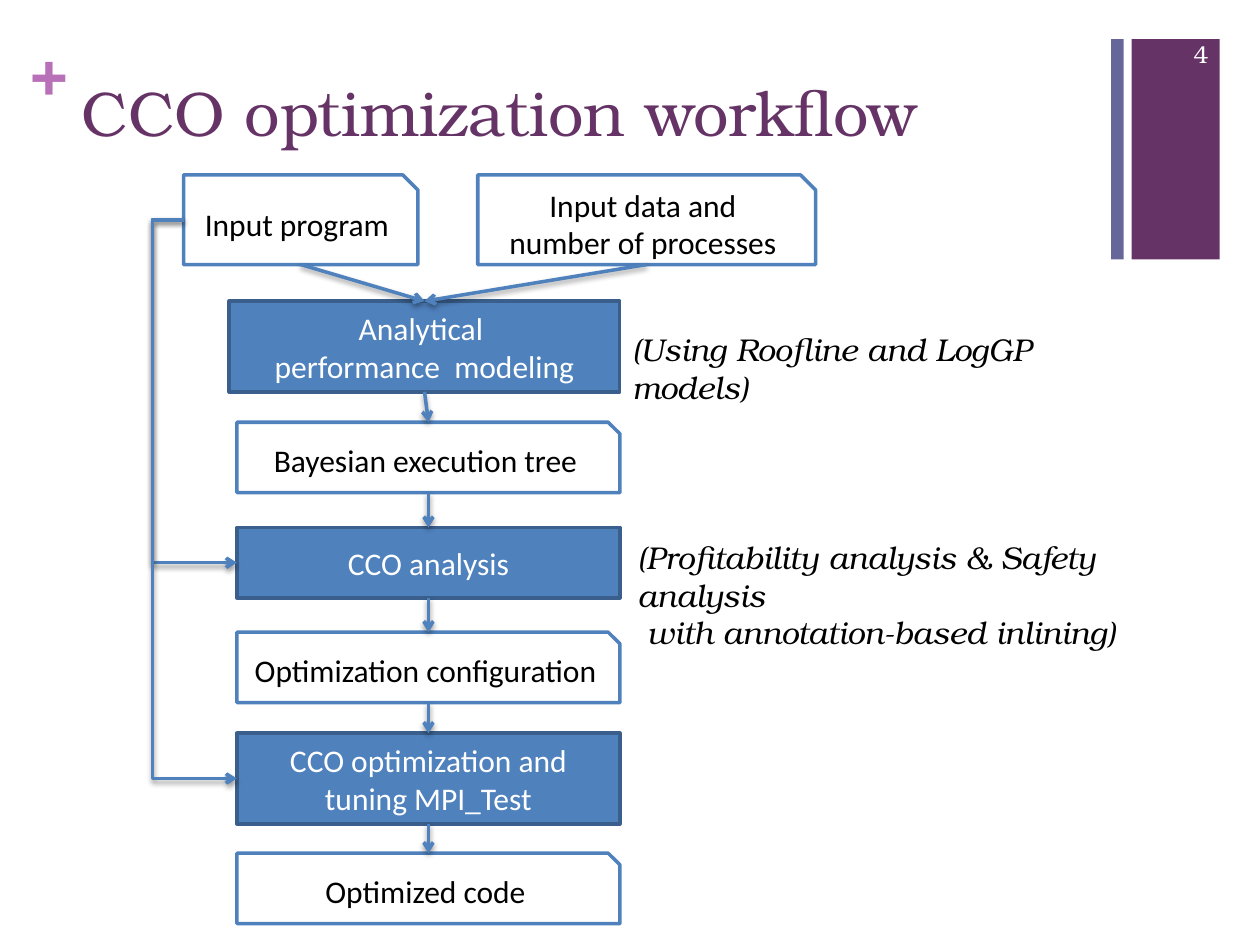
from itertools import pairwise
from lxml.etree import SubElement
from pptx import Presentation
from pptx.dml.color import RGBColor
from pptx.enum.shapes import MSO_CONNECTOR, MSO_SHAPE
from pptx.enum.text import MSO_ANCHOR, PP_ALIGN
from pptx.oxml import parse_xml
from pptx.oxml.ns import nsdecls, qn
from pptx.util import Pt

COLORS = {
    "plum": "663366", "slate": "666699", "orchid": "B870B8", "white": "FFFFFF",
    "black": "000000", "blue": "4F81BD", "edge": "3A5F8C",
}
SERIF, SANS = "TeX Gyre Bonum", "Calibri"

BANDS = [("plum", (646.6, 22.3, 50.4, 126)), ("slate", (635, 22.3, 7.2, 126))]
LABELS = [
    (["+"], (17.3, 18, 20.9, 43.9), 0, dict(size=36, color="orchid", bold=True)),
    (["CCO optimization workflow"], (39.6, 38.2, 594.7, 87.8), None,
     dict(size=36, color="plum")),
    (["4"], (653.8, 18.7, 43.9, 28.8), None,
     dict(size=14, color="white", align=PP_ALIGN.RIGHT)),
    (["(Profitability analysis & Safety analysis", " with annotation-based inlining)"],
     (357.1, 303.8, 325.4, 51.1), None, dict(size=18, color="black", italic=True)),
    (["(Using Roofline and LogGP models)"], (354.2, 185, 307.4, 28.8), None,
     dict(size=18, color="black", italic=True)),
]
INPUTS = [
    (["Input program"], (104.9, 100, 133.9, 51.2)),
    (["Input data and", "number of processes"], (273, 100, 193, 51.2)),
]
COLUMN_LEFT, COLUMN_WIDTH = 135.4, 218.9
MODELING = ("step", ["Analytical ", "performance  modeling"], (131, 172.1, 223.2, 51.8))
COLUMN = [
    ("data", ["Bayesian execution tree"], 241.3, 40.2),
    ("step", ["CCO analysis"], 301.5, 40.2),
    ("data", ["Optimization configuration"], 361.3, 40.2),
    ("step", ["CCO optimization and tuning MPI_Test"], 419, 51.8),
    ("data", ["Optimized code"], 487.6, 40.2),
]
DETOUR = -0.584


def rgb(name):
    return RGBColor.from_string(COLORS[name])


def write(frame, lines, size, color, font=SERIF, align=PP_ALIGN.LEFT, bold=False, italic=False):
    frame.word_wrap = True
    for number, line in enumerate(lines):
        paragraph = frame.add_paragraph() if number else frame.paragraphs[0]
        paragraph.alignment = align
        run = paragraph.add_run()
        run.text = line
        run.font.name, run.font.size = font, Pt(size)
        run.font.bold, run.font.italic = bold, italic
        run.font.color.rgb = rgb(color)


def add_block(slide, preset, place, fill=None, line=None):
    block = slide.shapes.add_shape(preset, *map(Pt, place))
    block.shadow.inherit = False
    if fill:
        block.fill.solid()
        block.fill.fore_color.rgb = rgb(fill)
    else:
        block.fill.background()
    if line:
        block.line.color.rgb = rgb(line)
        block.line.width = Pt(2)
    else:
        block.line.fill.background()
    return block


def add_node(slide, kind, lines, place):
    step = kind == "step"
    preset = MSO_SHAPE.RECTANGLE if step else MSO_SHAPE.SNIP_1_RECTANGLE
    node = add_block(slide, preset, place, "blue" if step else None, "edge" if step else "blue")
    node.text_frame.vertical_anchor = MSO_ANCHOR.MIDDLE
    write(node.text_frame, lines, 18, "white" if step else "black", SANS, PP_ALIGN.CENTER)


def add_arrow(slide, start, end, bend=None):
    route = MSO_CONNECTOR.STRAIGHT if bend is None else MSO_CONNECTOR.ELBOW
    arrow = slide.shapes.add_connector(route, *map(Pt, start + end))
    arrow.line.color.rgb = rgb("blue")
    arrow.line.width = Pt(2)
    SubElement(arrow.line._get_or_add_ln(), qn("a:tailEnd"), type="arrow")
    properties = arrow._element.spPr
    if bend is not None:
        guides = properties.find(qn("a:prstGeom")).get_or_add_avLst()
        SubElement(guides, qn("a:gd"), name="adj1", fmla=f"val {round(bend * 100000)}")
    properties.append(parse_xml(
        f'<a:effectLst {nsdecls("a")}><a:outerShdw blurRad="{Pt(3.1)}" dist="{Pt(1.6)}" '
        f'dir="5400000" rotWithShape="0"><a:srgbClr val="{COLORS["black"]}">'
        '<a:alpha val="38000"/></a:srgbClr></a:outerShdw></a:effectLst>'))


def top(place):
    return place[0] + place[2] / 2, place[1]


def bottom(place):
    return place[0] + place[2] / 2, place[1] + place[3]


def left(place):
    return place[0], place[1] + place[3] / 2


def main():
    deck = Presentation()
    deck.slide_width, deck.slide_height = Pt(720), Pt(540)
    slide = deck.slides.add_slide(deck.slide_layouts[6])

    for color, place in BANDS:
        add_block(slide, MSO_SHAPE.RECTANGLE, place, color)
    for lines, place, margin, style in LABELS:
        frame = slide.shapes.add_textbox(*map(Pt, place)).text_frame
        if margin is not None:
            frame.margin_left = frame.margin_right = Pt(margin)
            frame.margin_top = frame.margin_bottom = Pt(margin)
        write(frame, lines, **style)

    inputs = [("data", lines, place) for lines, place in INPUTS]
    chain = [MODELING] + [
        (kind, lines, (COLUMN_LEFT, y, COLUMN_WIDTH, height))
        for kind, lines, y, height in COLUMN
    ]
    for node in inputs + chain:
        add_node(slide, *node)

    for _, _, place in inputs:
        add_arrow(slide, bottom(place), top(MODELING[2]))
    for (_, _, upper), (_, _, lower) in pairwise(chain):
        add_arrow(slide, bottom(upper), top(lower))
    for kind, _, place in chain[1:]:
        if kind == "step":
            add_arrow(slide, left(INPUTS[0][1]), left(place), DETOUR)

    deck.save("out.pptx")


if __name__ == "__main__":
    main()
